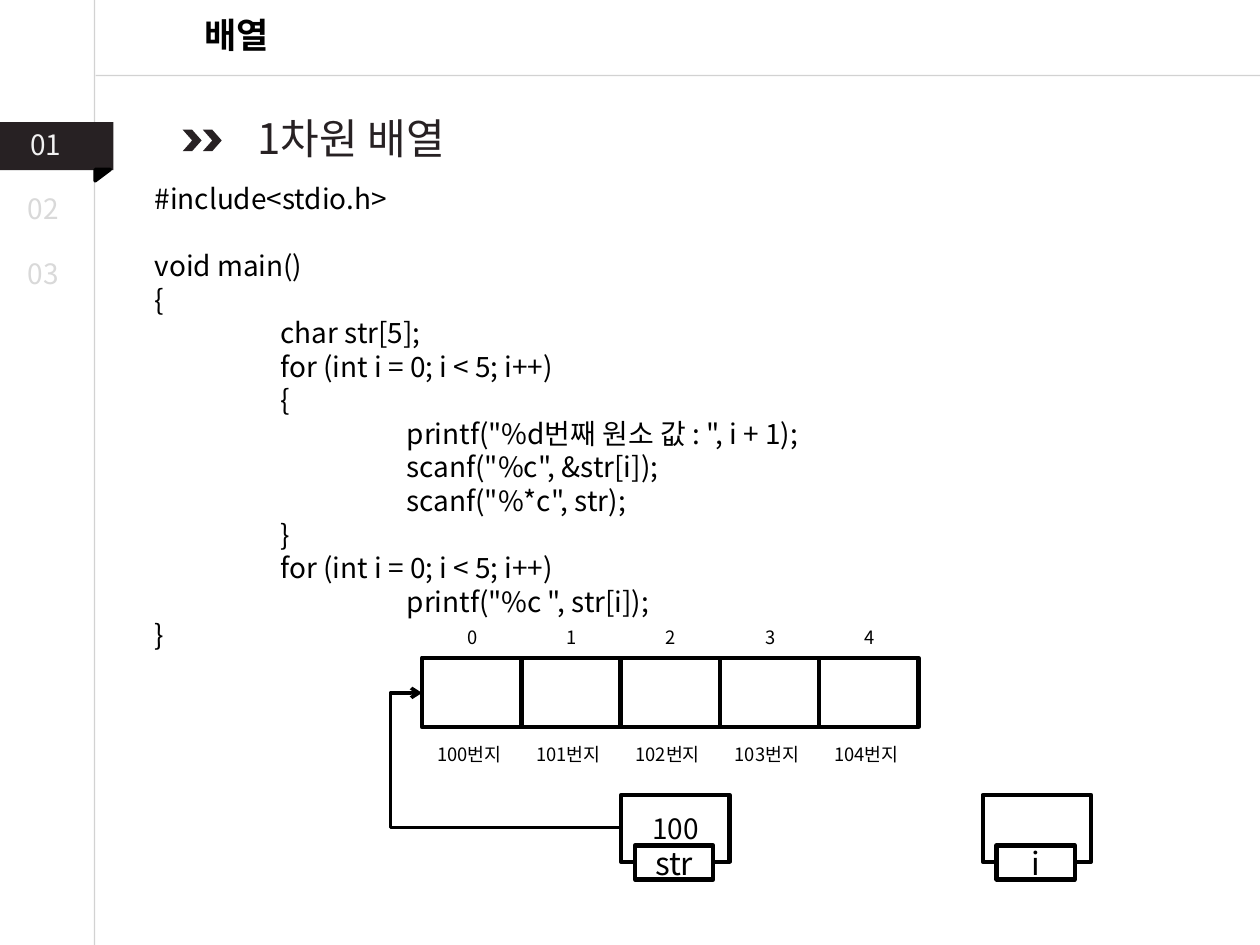
from dataclasses import dataclass
from typing import Optional

from lxml.etree import SubElement as Sub
from pptx import Presentation
from pptx.dml.color import RGBColor as Rgb
from pptx.enum.shapes import MSO_CONNECTOR as Link, MSO_SHAPE as Kind
from pptx.enum.text import MSO_ANCHOR as Anchor, MSO_AUTO_SIZE as Fit, PP_ALIGN as Align
from pptx.oxml.ns import qn
from pptx.util import Inches, Pt

# The grid has 100 columns and 75 rows of a tenth of an inch.
COLS, ROWS = 100, 75
UNIT = Inches(0.1)
FONT = "Noto Sans CJK KR"
INK = {"black": "000000", "dark": "272123", "white": "FFFFFF",
       "pale": "F2F2F2", "gray": "D9D9D9", "rule": "A6A6A6"}


@dataclass
class Box:
    """A place on the grid."""
    col: float
    row: float
    wide: float
    high: float

    def span(self) -> list[int]:
        """Return left, top, width and height in EMU."""
        return [round(n * UNIT) for n in (self.col, self.row, self.wide, self.high)]


@dataclass
class Label:
    """A line of text in its own box."""
    text: str
    box: Box
    size: float
    color: str = "black"
    bold: bool = False
    mid: bool = False
    wrap: bool = True


@dataclass
class Step:
    """A line of code with its indent level and the space above it."""
    text: str
    level: int = 0
    gap: float = 0


def add_run(para, text: str, size: float, color: str = "black", bold: bool = False) -> None:
    """Add one styled run to a paragraph."""
    run = para.add_run()
    run.text = text
    font = run.font
    font.size, font.bold, font.name = Pt(size), bold, FONT
    font.color.rgb = Rgb.from_string(INK[color])
    Sub(font._element, qn("a:ea"), typeface=FONT)


def add_text(box: Box, wrap: bool = True):
    """Add an empty text box and return its frame."""
    frame = slide.shapes.add_textbox(*box.span()).text_frame
    frame.word_wrap = wrap
    frame.auto_size = Fit.SHAPE_TO_FIT_TEXT
    return frame


def add_label(item: Label) -> None:
    """Draw one label."""
    para = add_text(item.box, item.wrap).paragraphs[0]
    para.alignment = Align.CENTER if item.mid else Align.LEFT
    add_run(para, item.text, item.size, item.color, item.bold)


def add_code(box: Box, steps: list[Step]) -> None:
    """Draw the code with one paragraph a line."""
    frame = add_text(box)
    for num, step in enumerate(steps):
        para = frame.add_paragraph() if num else frame.paragraphs[0]
        if step.level:
            props = para._p.get_or_add_pPr()
            props.set("marL", str(Inches(step.level)))
            props.set("indent", "0")
        if step.gap:
            para.space_before = Pt(step.gap)
        add_run(para, step.text, 16)


def add_form(home, box: Box, fill: Optional[str] = None, edge: float = 0,
             kind: Kind = Kind.RECTANGLE, text: str = "", size: float = 16):
    """Draw a preset shape with optional fill, edge and text."""
    form = home.add_shape(kind, *box.span())
    form.shadow.inherit = False
    if fill:
        form.fill.solid()
        form.fill.fore_color.rgb = Rgb.from_string(INK[fill])
    else:
        form.fill.background()
    if edge:
        form.line.color.rgb = Rgb.from_string(INK["black"])
        form.line.width = Pt(edge)
    else:
        form.line.fill.background()
    if text:
        frame = form.text_frame
        frame.vertical_anchor = Anchor.MIDDLE
        para = frame.paragraphs[0]
        para.alignment = Align.CENTER
        add_run(para, text, size)
    return form


def add_line(ends: tuple, color: str, width: float, kind: Link = Link.STRAIGHT):
    """Draw a connector between two grid points."""
    line = slide.shapes.add_connector(kind, *[round(n * UNIT) for n in ends])
    line.line.color.rgb = Rgb.from_string(INK[color])
    line.line.width = Pt(width)
    Sub(line._element.spPr, qn("a:effectLst"))
    return line


def add_rule(ends: tuple) -> None:
    """Draw a half clear frame line."""
    line = add_line(ends, "rule", 0.75)
    tint = line._element.spPr.find(".//" + qn("a:srgbClr"))
    Sub(tint, qn("a:alpha"), val="50000")


def add_arrow(ends: tuple, bend: int) -> None:
    """Draw a bent arrow; bend is in thousandths of a percent."""
    line = add_line(ends, "black", 2, Link.ELBOW)
    props = line._element.spPr
    Sub(props.find(".//" + qn("a:avLst")), qn("a:gd"), name="adj1", fmla=f"val {bend}")
    Sub(props.find(qn("a:ln")), qn("a:tailEnd"), type="arrow")


def add_var(col: float, name: str, value: str = "") -> None:
    """Draw a variable: its value box with a name tag on the lower edge."""
    add_form(slide.shapes, Box(col, 63.1, 8.6, 5.3), edge=2.5, text=value)
    add_form(slide.shapes, Box(col + 1.1, 67.1, 6.2, 2.7), "white", 2.5, text=name, size=18)


deck = Presentation()
deck.slide_width, deck.slide_height = COLS * UNIT, ROWS * UNIT
slide = deck.slides.add_slide(deck.slide_layouts[6])

add_rule((7.5, 0, 7.5, ROWS))
add_rule((COLS, 6, 7.6, 6))

# Side tabs and headings
add_form(slide.shapes, Box(0, 9.7, 9, 3.8), "dark")
fold = add_form(slide.shapes, Box(7.7, 13.3, 0.9, 1.2), "black", 2, Kind.RIGHT_TRIANGLE)
fold.rotation = 90
heads = [
    Label("01", Box(1.4, 9.6, 5.9, 3.7), 16, "pale"),
    Label("02", Box(1.2, 14.7, 4.9, 3.7), 16, "gray"),
    Label("03", Box(1.2, 19.9, 4.9, 3.7), 16, "gray"),
    Label("배열", Box(8.1, 0.6, 21.4, 4.4), 20, bold=True, mid=True),
    Label(" 1차원 배열", Box(11.8, 8.4, 31.4, 5), 24, "dark", mid=True),
]
for head in heads:
    add_label(head)
for col in (16.1, 14.5):
    add_form(slide.shapes, Box(col, 10.3, 1.5, 1.7), "dark", kind=Kind.CHEVRON)

add_code(Box(11.3, 13.9, 84.3, 38.7), [
    Step("#include<stdio.h>"),
    Step("void main()", gap=19.2),
    Step("{"),
    Step("char str[5];", 1),
    Step("for (int i = 0; i < 5; i++)", 1),
    Step("{", 1),
    Step('printf("%d번째 원소 값 : ", i + 1);', 2),
    Step('scanf("%c", &str[i]);', 2),
    Step('scanf("%*c", str);', 2),
    Step("}", 1),
    Step("for (int i = 0; i < 5; i++)", 1),
    Step('printf("%c ", str[i]);', 2),
    Step("}"),
])

# Array cells with index and address
LEFT, CELL = 33.5, 7.88
cells = slide.shapes.add_group_shape().shapes
for num in range(5):
    col = LEFT + num * CELL
    add_form(cells, Box(col, 52.2, CELL, 5.5), edge=2.5)
    add_label(Label(str(num), Box(col + 2.6, 49.2, 3, 2.9), 10.5, wrap=False))
    add_label(Label(f"{100 + num}번지", Box(col + 0.2, 58.5, 7.8, 2.8), 10.5, wrap=False))

add_var(49.3, "str", "100")
add_var(78, "i")
add_arrow((49.3, 65.7, LEFT, 55), 115900)

deck.save("out.pptx")
